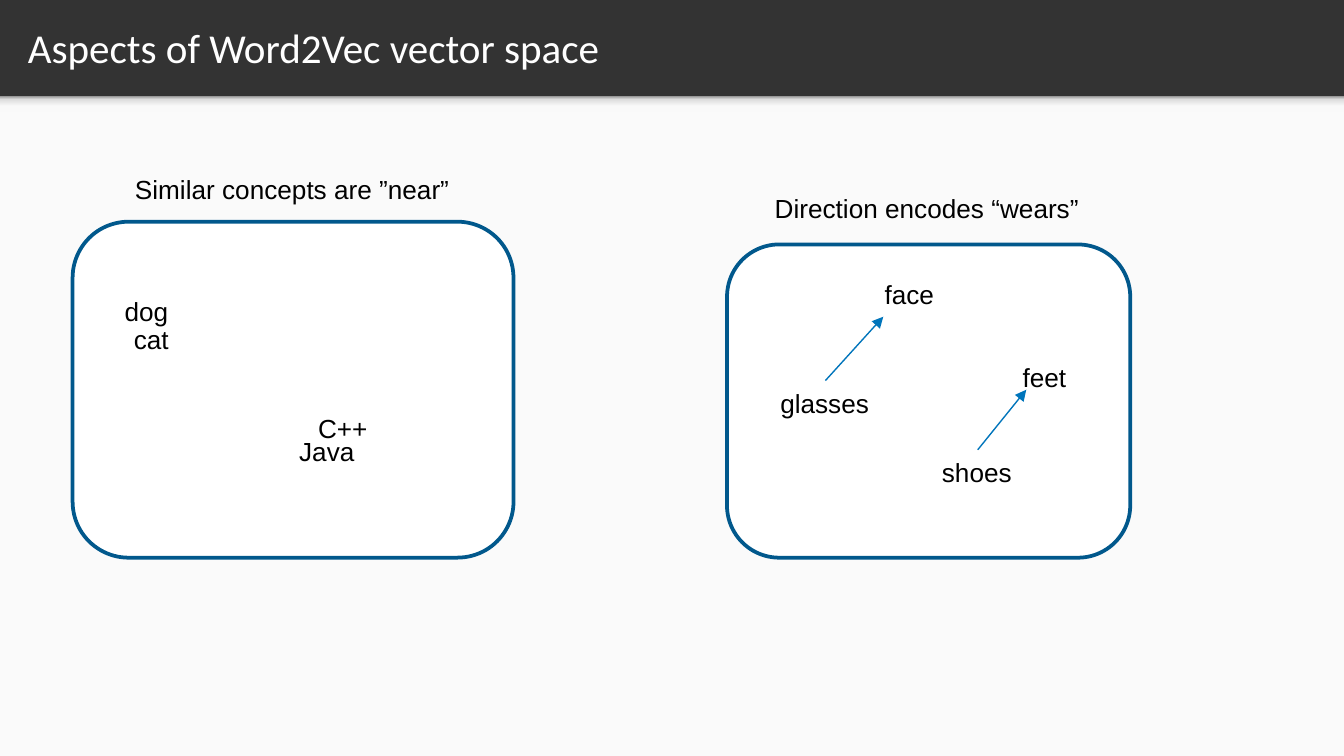
import pptx
import pptx.util
import pptx.dml.color
import pptx.enum.shapes
import pptx.enum.text
import pptx.oxml
import pptx.oxml.ns
import lxml.etree

Pt = pptx.util.Pt
qn = pptx.oxml.ns.qn
KIND = pptx.enum.shapes.MSO_SHAPE
WIDE, HIGH, HEAD = 720, 405, 51.6
ROW = 24.2
COLORS = {"bar": "333333", "page": "FAFAFA", "white": "FFFFFF",
          "edge": "01588C", "arrow": "0075BB", "text": "000000"}
SHADE = [(0, "F9F9F9"), (36, "F9F9F9"), (80, "DEDEDE"), (100, "999999")]
TITLE = "Aspects of Word2Vec vector space"

PANELS = [
    {"box": (38.9, 118.8, 236.2, 180),
     "labels": [("Similar concepts are ”near”", 65.2, 89.6, 184),
                ("Java", 153.2, 229.9, 44.5),
                ("C++", 163.3, 217.6, 41),
                ("dog", 59.6, 154.8, 38),
                ("cat", 64.6, 169.8, 33)],
     "arrows": []},
    {"box": (389.5, 131, 216, 167.8),
     "labels": [("Direction encodes “wears”", 407.9, 99.7, 178.5),
                ("glasses", 410.9, 204, 62.5),
                ("face", 466.8, 145.4, 41),
                ("feet", 540.7, 190, 38),
                ("shoes", 497.5, 241, 52)],
     "arrows": [(442.2, 203.9, 473.2, 169.7), (523.8, 241, 549.8, 208.8)]},
]


def tint(name):
    return pptx.dml.color.RGBColor.from_string(COLORS[name])


def add_box(slide, kind, box, fill=None, edge=None):
    shape = slide.shapes.add_shape(kind, *map(Pt, box))
    shape.shadow.inherit = False
    if fill:
        shape.fill.solid()
        shape.fill.fore_color.rgb = tint(fill)
    if edge:
        shape.line.color.rgb = tint(edge)
        shape.line.width = Pt(2)
    else:
        shape.line.fill.background()
    return shape


def add_shade(slide):
    shape = add_box(slide, KIND.RECTANGLE, (0, HEAD, WIDE, 8.6))
    shape.fill.gradient()
    shape.fill.gradient_angle = 90
    stops = shape._element.spPr.find(".//" + qn("a:gsLst"))
    stops.clear()
    for pos, color in SHADE:
        stop = lxml.etree.SubElement(stops, qn("a:gs"), pos=str(pos * 1000))
        lxml.etree.SubElement(stop, qn("a:srgbClr"), val=color)


def add_text(slide, text, box, font="Arial", size=14, color="text"):
    shape = slide.shapes.add_textbox(*map(Pt, box))
    frame = shape.text_frame
    frame.text = text
    frame.word_wrap = False
    run = frame.paragraphs[0].runs[0]
    run.font.name = font
    run.font.size = Pt(size)
    run.font.color.rgb = tint(color)
    return frame


def add_arrow(slide, ends):
    line = slide.shapes.add_connector(
        pptx.enum.shapes.MSO_CONNECTOR.STRAIGHT, *map(Pt, ends))
    line.line.color.rgb = tint("arrow")
    line.line.width = Pt(0.75)
    props = line._element.spPr
    lxml.etree.SubElement(props.find(qn("a:ln")), qn("a:tailEnd"), type="triangle")
    lxml.etree.SubElement(props, qn("a:effectLst"))


def main():
    deck = pptx.Presentation()
    deck.slide_width, deck.slide_height = Pt(WIDE), Pt(HIGH)
    slide = deck.slides.add_slide(deck.slide_layouts[6])
    slide.background.fill.solid()
    slide.background.fill.fore_color.rgb = tint("bar")
    add_box(slide, KIND.RECTANGLE, (0, HEAD, WIDE, HIGH - HEAD), "page")
    add_shade(slide)
    head = add_text(slide, TITLE, (7.9, 1.4, 694.8, 47.5), "Calibri", 22, "white")
    head.word_wrap = True
    head.vertical_anchor = pptx.enum.text.MSO_ANCHOR.MIDDLE
    for panel in PANELS:
        add_box(slide, KIND.ROUNDED_RECTANGLE, panel["box"], "white", "edge")
        for text, left, top, width in panel["labels"]:
            label = add_text(slide, text, (left, top, width, ROW))
            label.auto_size = pptx.enum.text.MSO_AUTO_SIZE.SHAPE_TO_FIT_TEXT
        for ends in panel["arrows"]:
            add_arrow(slide, ends)
    deck.save("out.pptx")


if __name__ == "__main__":
    main()
